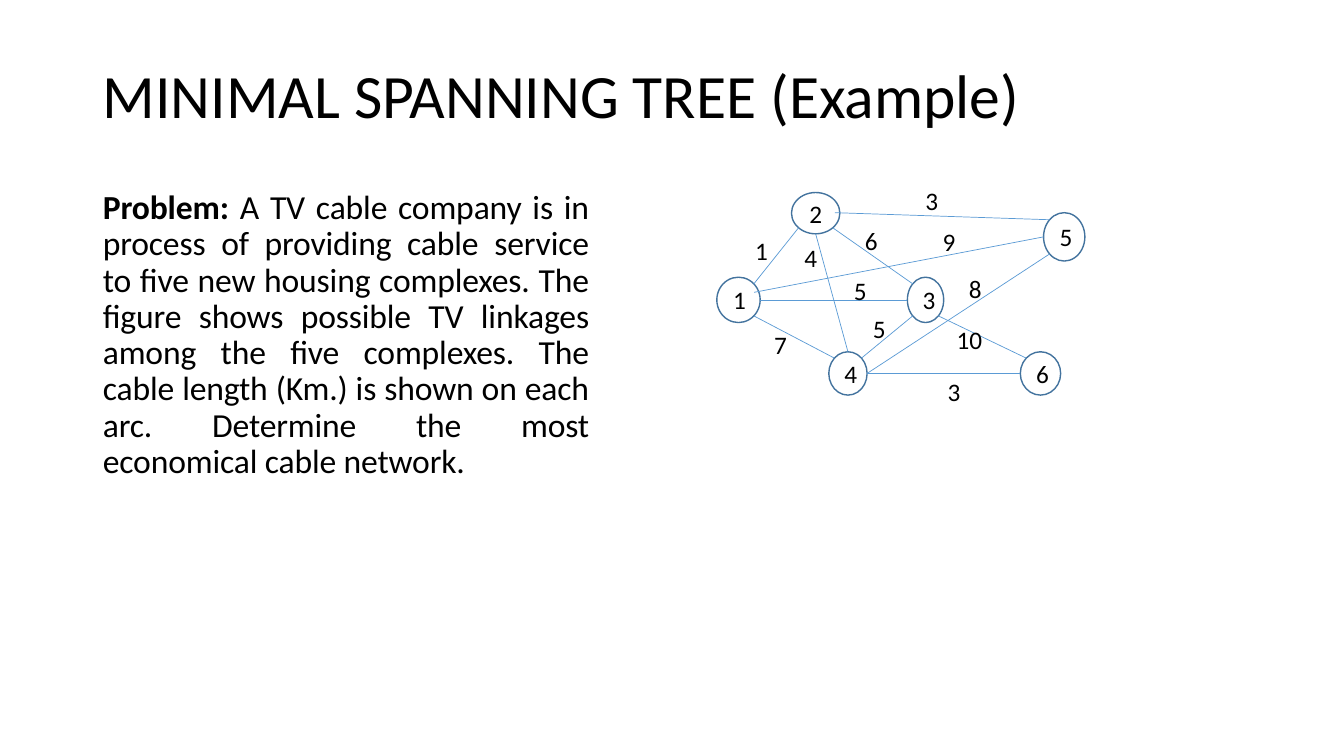
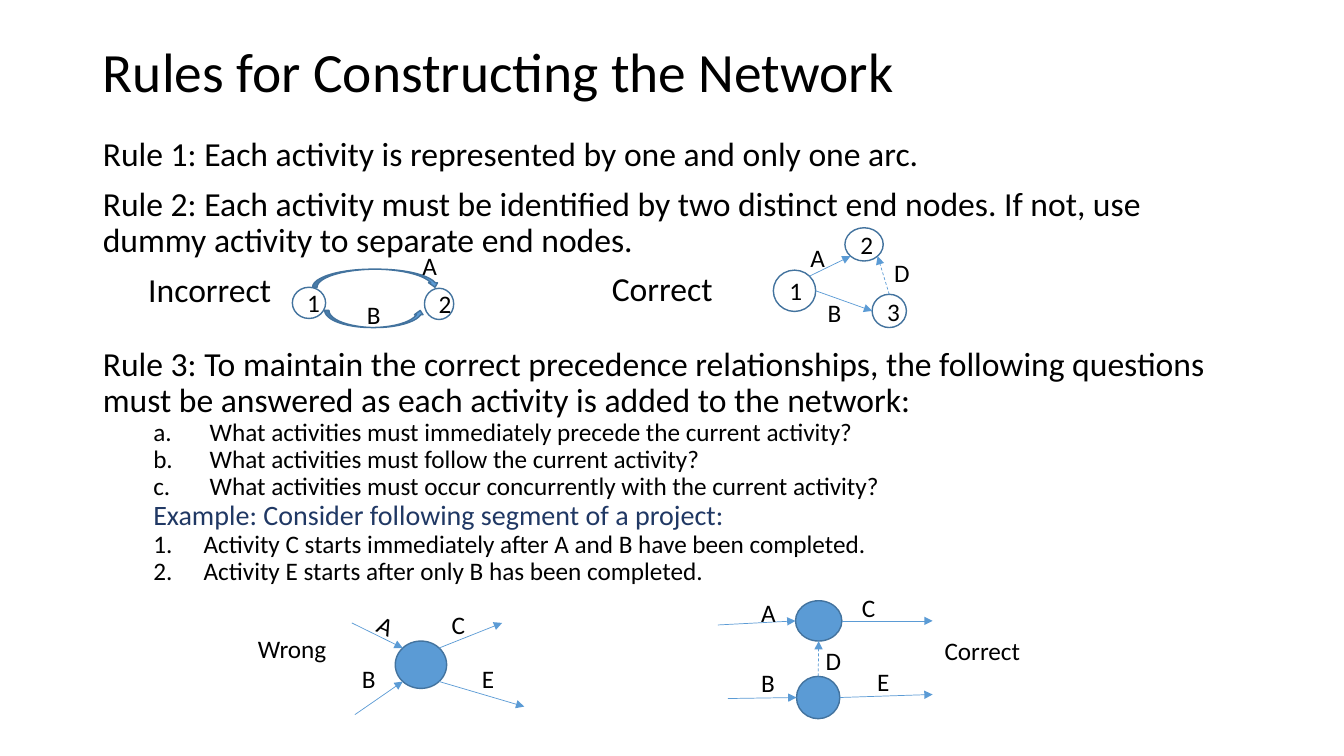
from dataclasses import dataclass, field
from math import cos, radians, sin

from lxml import etree
from pptx import Presentation
from pptx.dml.color import RGBColor
from pptx.enum.dml import MSO_LINE_DASH_STYLE
from pptx.enum.shapes import MSO_CONNECTOR, MSO_SHAPE
from pptx.enum.text import MSO_ANCHOR, MSO_AUTO_SIZE, PP_ALIGN
from pptx.oxml.ns import qn
from pptx.util import Pt

OVAL = MSO_SHAPE.OVAL
ARROW_OVER = MSO_SHAPE.CURVED_DOWN_ARROW
ARROW_UNDER = MSO_SHAPE.CURVED_UP_ARROW
STRAIGHT = MSO_CONNECTOR.STRAIGHT
DASH = MSO_LINE_DASH_STYLE.DASH
LEFT, CENTER, JUSTIFY = PP_ALIGN.LEFT, PP_ALIGN.CENTER, PP_ALIGN.JUSTIFY
TOP, MIDDLE = MSO_ANCHOR.TOP, MSO_ANCHOR.MIDDLE

EMU_PER_PX = 9144  # 100 px to the inch
LABEL_HEIGHT = 40
# Angles of the points on a node's outline, clockwise from the right
SITES = {"E": 0, "SE": 45, "S": 90, "SW": 135,
         "W": 180, "NW": 225, "N": 270, "NE": 315}


@dataclass(frozen=True)
class Theme:
    font: str = "Calibri"
    ink: RGBColor = RGBColor(0, 0, 0)
    paper: RGBColor = RGBColor(255, 255, 255)
    accent: RGBColor = RGBColor(0x5B, 0x9B, 0xD5)
    outline: RGBColor = RGBColor(0x43, 0x73, 0x9E)
    example: RGBColor = RGBColor(0x20, 0x38, 0x64)
    title: float = 44
    title_compact: float = 39.6
    body: float = 24
    lead: float = 20
    small: float = 18
    tight: int = -10  # letter spacing in hundredths of a point


THEME = Theme()


@dataclass
class Network:
    """A diagram whose coordinates are relative to its origin."""
    origin: tuple
    nodes: dict = field(default_factory=dict)
    edges: list = field(default_factory=list)   # start, end, optional dash
    labels: list = field(default_factory=list)  # text, x, y, rotation, size
    arcs: list = field(default_factory=list)    # preset shape, box
    directed: bool = True
    solid: bool = False


def px(value):
    return round(value * EMU_PER_PX)


def place(shape, box):
    for name, value in zip(("left", "top", "width", "height"), box):
        setattr(shape, name, px(value))


def add_span(para, text, size, color=THEME.ink, bold=False, spacing=0):
    span = para.add_run()
    span.text = text
    formats = {"name": THEME.font, "size": Pt(size), "bold": bold}
    for name, value in formats.items():
        setattr(span.font, name, value)
    span.font.color.rgb = color
    if spacing:
        span._r.get_or_add_rPr().set("spc", str(spacing))


def format_para(para, before=0, align=LEFT, margin=0, hang=0, numbering=None):
    formats = {"alignment": align, "line_spacing": 0.9,
               "space_before": Pt(before), "space_after": Pt(0)}
    for name, value in formats.items():
        setattr(para, name, value)
    props = para._p.get_or_add_pPr()
    props.set("marL", str(px(margin)))
    props.set("indent", str(px(-hang)))
    if numbering:
        etree.SubElement(props, qn("a:buAutoNum"), type=numbering)
    else:
        etree.SubElement(props, qn("a:buNone"))


def fill_placeholder(shape, box, paras, anchor):
    """Each paragraph is a list of spans and a dict of paragraph formats."""
    place(shape, box)
    frame = shape.text_frame
    settings = {"auto_size": MSO_AUTO_SIZE.NONE, "word_wrap": True,
                "vertical_anchor": anchor}
    for name, value in settings.items():
        setattr(frame, name, value)
    for index, (spans, formats) in enumerate(paras):
        para = frame.add_paragraph() if index else frame.paragraphs[0]
        para.level = 1 if "numbering" in formats else 0
        format_para(para, **formats)
        for span in spans:
            add_span(para, *span)


def add_page(deck, title, title_size, title_box, body_box, paras):
    page = deck.slides.add_slide(deck.slide_layouts[1])
    heading, body = page.placeholders
    fill_placeholder(heading, title_box, [([(title, title_size)], {})], MIDDLE)
    fill_placeholder(body, body_box, paras, TOP)
    return page


# Parts of a network diagram
def add_figure(page, preset, box, fill, text=""):
    shape = page.shapes.add_shape(preset, *map(px, box))
    shape.shadow.inherit = False
    shape.fill.solid()
    shape.fill.fore_color.rgb = fill
    shape.line.color.rgb = THEME.outline
    shape.line.width = Pt(1)
    if text:
        para = shape.text_frame.paragraphs[0]
        para.alignment = CENTER
        add_span(para, text, THEME.small)


def add_edge(page, start, end, directed, dashed):
    edge = page.shapes.add_connector(STRAIGHT, *map(px, (*start, *end)))
    edge.line.color.rgb = THEME.accent
    edge.line.width = Pt(0.5)
    if dashed:
        edge.line.dash_style = DASH
    props = edge.element.spPr
    if directed:
        etree.SubElement(props.find(qn("a:ln")), qn("a:tailEnd"),
                         type="triangle")
    etree.SubElement(props, qn("a:effectLst"))


def add_label(page, text, x, y, rotation=0, size=THEME.small):
    width = 130 if len(text) > 2 else 49
    box = page.shapes.add_textbox(*map(px, (x, y, width, LABEL_HEIGHT)))
    box.rotation = rotation
    box.text_frame.word_wrap = True
    add_span(box.text_frame.paragraphs[0], text, size)


def draw_network(page, network):
    left, top = network.origin

    def shift(box):
        return (left + box[0], top + box[1], *box[2:])

    def locate(end):
        """An end is a point, or a node and a site such as "1 NE"."""
        if not isinstance(end, str):
            return shift(end)
        name, site = end.split()
        x, y, width, height = shift(network.nodes[name])
        angle = radians(SITES[site])
        return (x + width / 2 * (1 + cos(angle)),
                y + height / 2 * (1 + sin(angle)))

    fill = THEME.accent if network.solid else THEME.paper
    for name, box in network.nodes.items():
        add_figure(page, OVAL, shift(box), fill, "" if network.solid else name)
    for preset, box in network.arcs:
        add_figure(page, preset, shift(box), THEME.accent)
    for start, end, *dashed in network.edges:
        add_edge(page, locate(start), locate(end), network.directed, dashed)
    for text, x, y, *style in network.labels:
        add_label(page, text, *shift((x, y)), *style)


# Cable network with arc lengths
CABLE = Network(
    (700, 175), directed=False,
    nodes={"2": (85, 16, 48, 41), "1": (11, 100, 43, 45),
           "3": (200, 100, 36, 45), "4": (122, 174, 38, 43),
           "5": (335, 36, 41, 48), "6": (312, 174, 40, 43)},
    edges=[("1 NE", "2 SW"), ("1 SE", "4 NW"), ((48, 115), "5 W"),
           ((128, 36), "5 NW"), ("2 SE", "3 NW"), ("2 S", "4 N"),
           ("4 E", "6 W"), ("3 SE", "6 NW"), ("3 SW", "4 NE"),
           ("1 E", "3 W"), ("4 E", "5 SW")],
    labels=[("3", 208, 4), ("9", 225, 45), ("8", 251, 91), ("7", 58, 147),
            ("1", 39, 54), ("5", 137, 93), ("4", 88, 60), ("5", 156, 131),
            ("6", 148, 44), ("3", 230, 193), ("10", 239, 142)])

# Rule 2: parallel activities, then a dummy activity with its caption
PARALLEL = Network(
    (290, 240),
    nodes={"1": (0, 45, 33, 31), "2": (131, 46, 29, 31)},
    arcs=[(ARROW_UNDER, (32, 68, 99, 17)), (ARROW_OVER, (20, 27, 126, 18))],
    labels=[("A", 119, 3), ("B", 64, 52)])
DUMMY = Network(
    (765, 220),
    nodes={"1": (2, 48, 42, 41), "2": (73, 6, 38, 33), "3": (100, 72, 34, 33)},
    edges=[("1 NE", "2 SW"), ("1 E", "3 W"), ("3 N", "2 SE", DASH)],
    labels=[("D", 112, 30), ("B", 46, 70), ("A", 29, 15),
            ("Correct", -168, 41, 0, THEME.body)])

# Rule 3: wrong and correct precedence
WRONG = Network(
    (245, 600), solid=True,
    nodes={"hub": (147, 36, 51, 47)},
    edges=[((104, 18), "hub NW"), ((107, 109), "hub SW"),
           ("hub NE", (253, 18)), ("hub SE", (275, 101))],
    labels=[("A", 120, 4, 24.4), ("B", 104, 53), ("C", 193, 0),
            ("E", 223, 53), ("Wrong", 1, 23)])
CORRECT = Network(
    (710, 580), solid=True,
    nodes={"upper": (79, 16, 46, 40), "lower": (80, 91, 43, 42)},
    edges=[((2, 40), "upper W"), ((12, 113), "lower W"),
           ("upper E", (215, 36)), ("lower E", (215, 109)),
           ("lower N", "upper S", DASH)],
    labels=[("A", 35, 8), ("C", 135, 3), ("B", 35, 77), ("E", 150, 76),
            ("D", 99, 55), ("Correct", 217, 45)])

PROBLEM = (
    "A TV cable company is in process of providing cable service to five new "
    "housing complexes. The figure shows possible TV linkages among the five "
    "complexes. The cable length (Km.) is shown on each arc. Determine the "
    "most economical cable network.")
RULES = [
    ("Rule 1: Each activity is represented by one and only one arc.",
     {"before": 10}),
    ("Rule 2: Each activity must be identified by two distinct end nodes. "
     "If not, use dummy activity to separate end nodes.", {"before": 10}),
    ("Incorrect", {"before": 10, "margin": 45}),
    ("Rule 3: To maintain the correct precedence relationships, the following "
     "questions must be answered as each activity is added to the network:",
     {"before": 26.4})]
QUESTIONS = [
    "What activities must immediately precede the current activity?",
    "What activities must follow the current activity?",
    "What activities must occur concurrently with the current activity?"]
EXAMPLE = "Example: Consider following segment of a project:"
STEPS = ["Activity C starts immediately after A and B have been completed.",
         "Activity E starts after only B has been completed."]


def numbered(items, scheme, margin, hang):
    formats = {"numbering": scheme, "margin": margin, "hang": hang}
    return [([(item, THEME.small)], formats) for item in items]


def add_spanning_tree_page(deck):
    spans = [(text, THEME.body, THEME.ink, bold, THEME.tight)
             for text, bold in (("Problem: ", True), (PROBLEM, False))]
    page = add_page(deck, "MINIMAL SPANNING TREE (Example)", THEME.title,
                    (92, 40, 1150, 115), (92, 184, 502, 311),
                    [(spans, {"align": JUSTIFY})])
    draw_network(page, CABLE)


def add_rules_page(deck):
    paras = [([(text, THEME.body)], formats) for text, formats in RULES]
    paras += numbered(QUESTIONS, "alphaLcPeriod", 106, 56)
    paras.append(([(EXAMPLE, THEME.lead, THEME.example)], {"margin": 50}))
    paras += numbered(STEPS, "arabicPeriod", 100, 50)
    page = add_page(deck, "Rules for Constructing the Network",
                    THEME.title_compact, (92, 40, 1123, 67),
                    (92, 131, 1150, 626), paras)
    for network in (WRONG, CORRECT, PARALLEL, DUMMY):
        draw_network(page, network)


def main():
    deck = Presentation()
    deck.slide_width, deck.slide_height = px(1333), px(750)
    add_spanning_tree_page(deck)
    add_rules_page(deck)
    deck.save("out.pptx")


if __name__ == "__main__":
    main()
